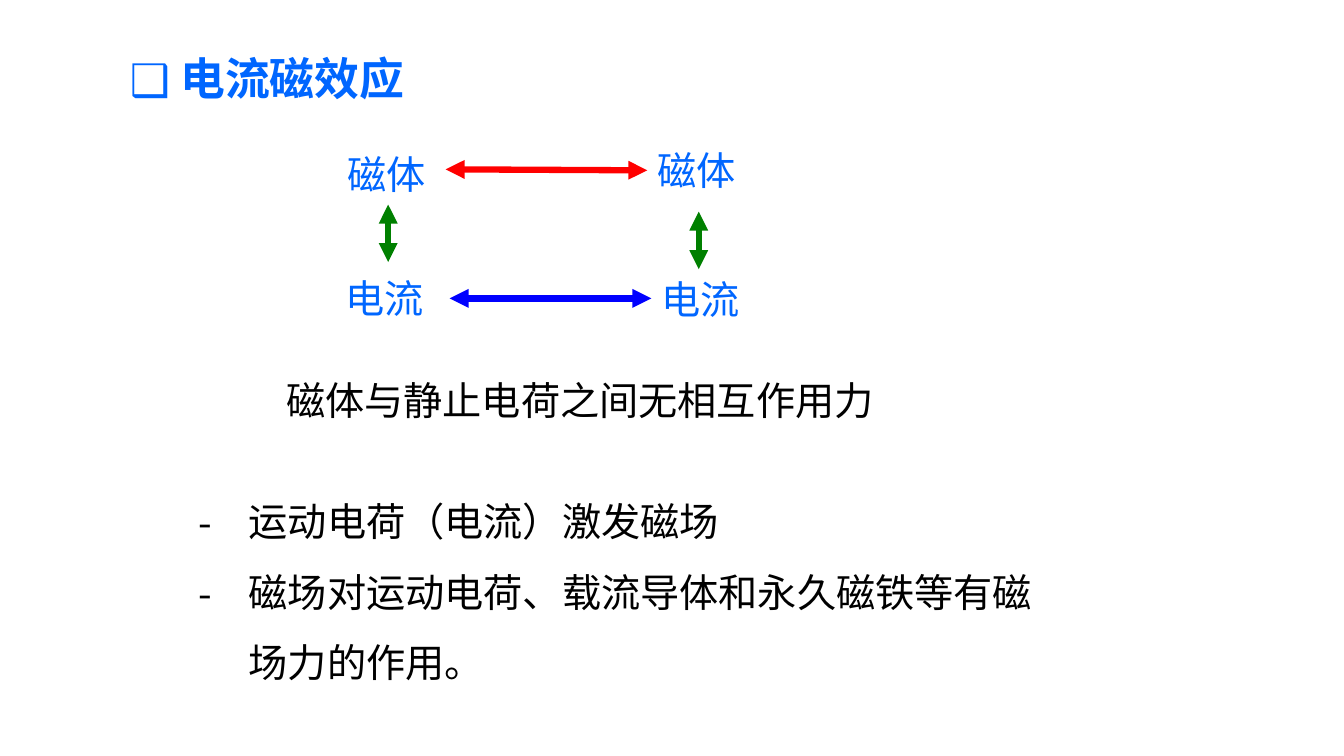
"""Build a slide on the magnetic effect of electric current."""
from dataclasses import dataclass

from lxml import etree
from pptx import Presentation
from pptx.dml.color import RGBColor
from pptx.enum.shapes import MSO_CONNECTOR
from pptx.enum.text import MSO_AUTO_SIZE
from pptx.oxml.ns import qn
from pptx.util import Inches, Pt

STRAIGHT = MSO_CONNECTOR.STRAIGHT
FIT_SHAPE = MSO_AUTO_SIZE.SHAPE_TO_FIT_TEXT
FONT = "Noto Sans CJK SC"
BLACK, SKY, RED, GREEN, BLUE = "000000", "0066FF", "FF0000", "008000", "0000FF"


@dataclass
class Label:
    left: float
    top: float
    width: float
    height: float
    lines: list[str]
    color: str = SKY
    size: int = 28
    bold: bool = False
    bullet: str = ""
    spacing: float = 1.0


@dataclass
class Arrow:
    x1: float
    y1: float
    x2: float
    y2: float
    color: str


LABELS = [
    Label(1.19, 0.45, 3.74, 0.64, ["电流磁效应"], size=32, bold=True, bullet="❑"),
    Label(3.35, 1.44, 1.38, 0.57, ["磁体"]),
    Label(6.42, 1.4, 1.38, 0.57, ["磁体"]),
    Label(3.33, 2.67, 1.08, 0.57, ["电流"]),
    Label(6.46, 2.68, 1.08, 0.57, ["电流"]),
    Label(2.74, 3.68, 6.82, 0.57, ["磁体与静止电荷之间无相互作用力"], BLACK),
    Label(1.87, 4.65, 8.77, 2.15,
          ["运动电荷（电流）激发磁场",
           "磁场对运动电荷、载流导体和永久磁铁等有磁场力的作用。"],
          BLACK, bullet="-", spacing=1.5),
]
ARROWS = [
    Arrow(4.42, 1.68, 6.42, 1.69, RED),
    Arrow(3.85, 2.03, 3.85, 2.6, GREEN),
    Arrow(6.93, 2.1, 6.93, 2.67, GREEN),
    Arrow(6.46, 2.96, 4.46, 2.96, BLUE),
]


def rgb(color: str) -> RGBColor:
    return RGBColor.from_string(color)


def add_bullet(p, char: str) -> None:
    pPr = p._p.get_or_add_pPr()
    pPr.set("marL", str(Inches(0.5)))
    pPr.set("indent", str(-Inches(0.5)))
    etree.SubElement(pPr, qn("a:buFont"), typeface=FONT)
    etree.SubElement(pPr, qn("a:buChar"), char=char)


def add_label(slide, label: Label) -> None:
    sp = slide.shapes.add_textbox(Inches(label.left), Inches(label.top),
                                  Inches(label.width), Inches(label.height))
    tf = sp.text_frame
    tf.word_wrap = True
    tf.auto_size = FIT_SHAPE
    tf.text = "\n".join(label.lines)
    for p in tf.paragraphs:
        if label.bullet:
            add_bullet(p, label.bullet)
        p.line_spacing = label.spacing
        for r in p.runs:
            r.font.size = Pt(label.size)
            r.font.bold = label.bold
            r.font.color.rgb = rgb(label.color)
            r.font.name = FONT
            etree.SubElement(r._r.get_or_add_rPr(), qn("a:ea"), typeface=FONT)


def add_arrow(slide, arrow: Arrow) -> None:
    line = slide.shapes.add_connector(STRAIGHT, Inches(arrow.x1), Inches(arrow.y1),
                                      Inches(arrow.x2), Inches(arrow.y2))
    line.line.color.rgb = rgb(arrow.color)
    line.line.width = Pt(4.5)
    ln = line.line._get_or_add_ln()
    for end in ("a:headEnd", "a:tailEnd"):
        etree.SubElement(ln, qn(end), type="triangle")
    etree.SubElement(line._element.spPr, qn("a:effectLst"))


def main() -> None:
    prs = Presentation()
    prs.slide_width, prs.slide_height = Inches(13.33), Inches(7.5)
    slide = prs.slides.add_slide(prs.slide_layouts[6])
    for label in LABELS:
        add_label(slide, label)
    for arrow in ARROWS:
        add_arrow(slide, arrow)
    prs.save("out.pptx")


if __name__ == "__main__":
    main()
